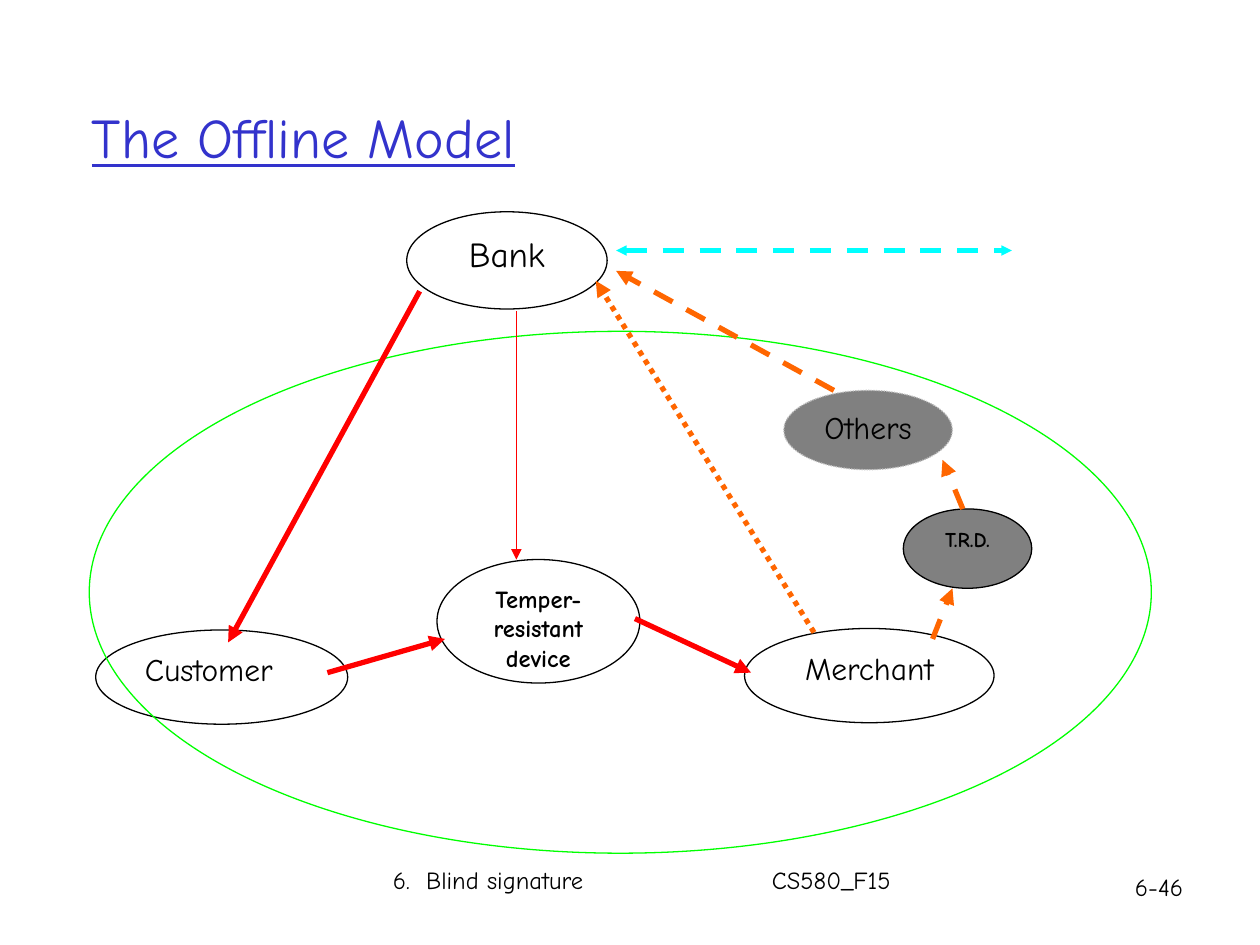
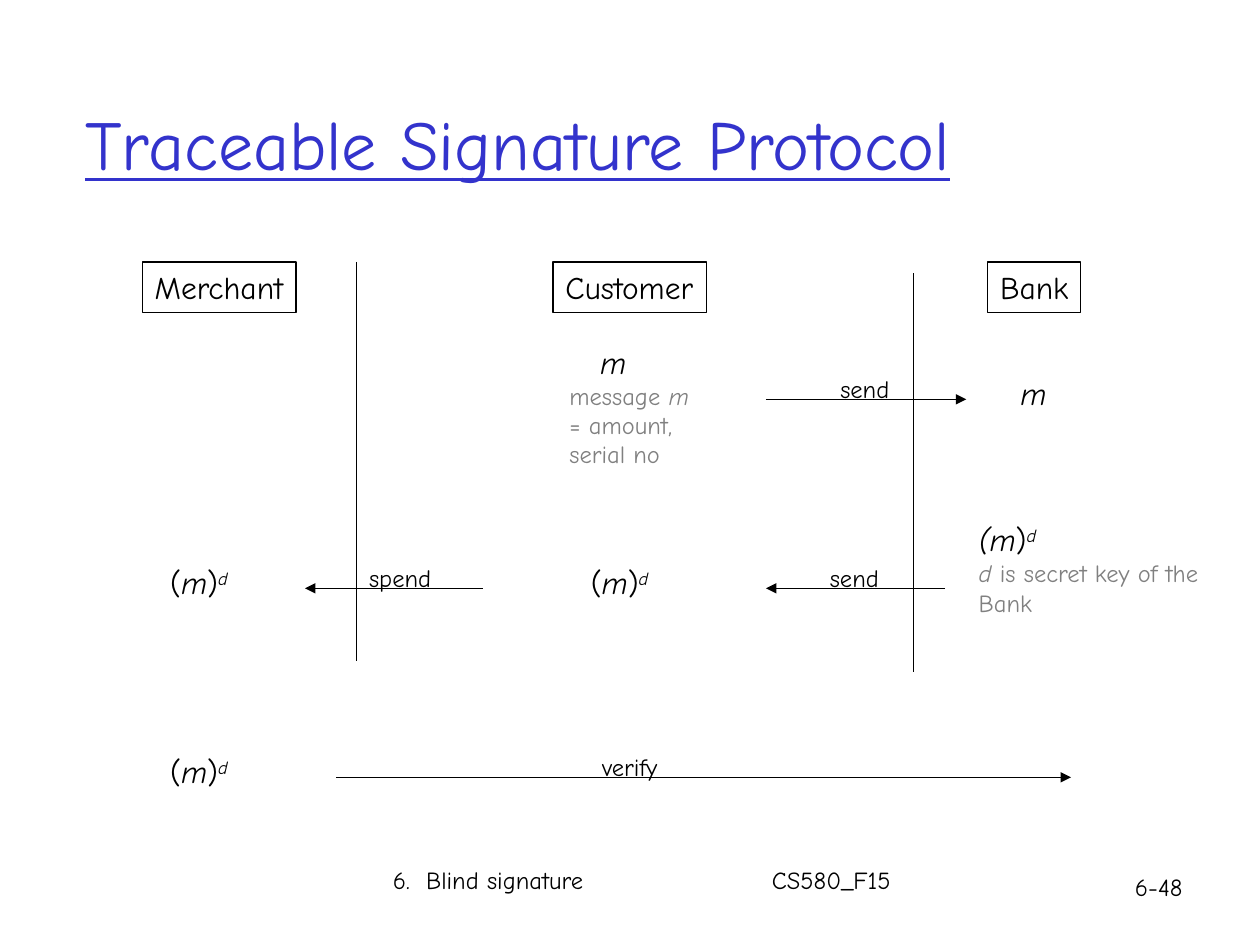
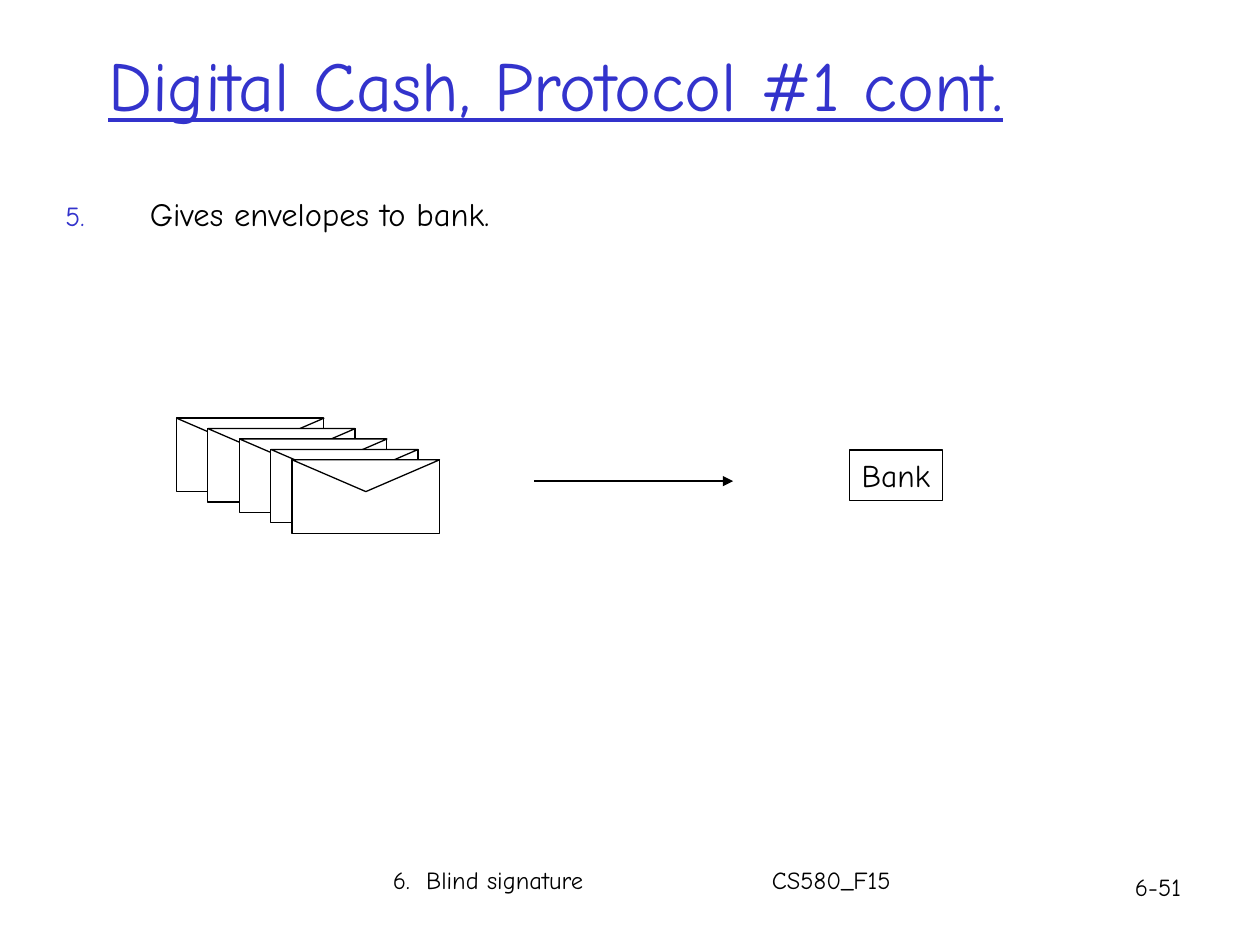
"""Build three slides on offline payment and blind signature protocols."""
import pptx
import pptx.dml.color
import pptx.enum.dml
import pptx.enum.shapes
import pptx.enum.text
import pptx.oxml
import pptx.oxml.ns
import pptx.util

Cm = pptx.util.Cm
Pt = pptx.util.Pt
SHAPES = pptx.enum.shapes.MSO_SHAPE
DASHES = pptx.enum.dml.MSO_LINE
ALIGN = pptx.enum.text.PP_ALIGN
ANCHOR = pptx.enum.text.MSO_ANCHOR

FONT = "Comic Neue"
COLORS = {
    "text": "000000",
    "title": "3333CC",
    "paper": "FFFFFF",
    "muted": "808080",
    "pale": "C0C0C0",
    "withdraw": "FF0000",
    "deposit": "FF6600",
    "exchange": "00FFFF",
    "offline": "00FF00",
}
ITALIC = {"italic": True}
NOTE = {"size": 14, "color": "muted"}
SUPERSCRIPT = {"italic": True, "baseline": 30000}
SIGNATURE = [[("(", {}), ("m", ITALIC), (")", {}), ("d", SUPERSCRIPT)]]


def rgb(name):
    """Return the named colour."""
    return pptx.dml.color.RGBColor.from_string(COLORS[name])


def add_xml(parent, tag, content="", **attributes):
    """Append a drawing element to a parent element."""
    listed = "".join(f' {key}="{value}"' for key, value in attributes.items())
    namespace = pptx.oxml.ns.nsdecls("a")
    parent.append(pptx.oxml.parse_xml(f"<a:{tag} {namespace}{listed}>{content}</a:{tag}>"))


def write_run(paragraph, text, size=18, color="text", baseline=None, **formats):
    """Add one formatted run to a paragraph."""
    run = paragraph.add_run()
    run.text = text
    for name, value in {"name": FONT, "size": Pt(size), **formats}.items():
        setattr(run.font, name, value)
    run.font.color.rgb = rgb(color)
    if baseline:
        run._r.get_or_add_rPr().set("baseline", str(baseline))


def write_text(frame, paragraphs, align=ALIGN.LEFT, anchor=ANCHOR.TOP, wrap=True, **formats):
    """Fill a text frame with paragraphs, each a string or a list of runs."""
    frame_formats = {
        "word_wrap": wrap,
        "vertical_anchor": anchor,
        "auto_size": pptx.enum.text.MSO_AUTO_SIZE.NONE,
        "margin_left": Cm(0.25),
        "margin_right": Cm(0.25),
        "margin_top": Cm(0.13),
        "margin_bottom": Cm(0.13),
    }
    for name, value in frame_formats.items():
        setattr(frame, name, value)
    for index, runs in enumerate(paragraphs):
        paragraph = frame.add_paragraph() if index else frame.paragraphs[0]
        paragraph.alignment = align
        paragraph.space_before = Pt(0)
        for text, overrides in [(runs, {})] if isinstance(runs, str) else runs:
            write_run(paragraph, text, **{**formats, **overrides})


def place(shape, left, top, width, height):
    """Move and size a shape, in centimetres."""
    for name, value in {"left": left, "top": top, "width": width, "height": height}.items():
        setattr(shape, name, Cm(value))


def add_text(slide, left, top, width, height, paragraphs, **formats):
    """Add a text box and return its text frame."""
    frame = slide.shapes.add_textbox(Cm(left), Cm(top), Cm(width), Cm(height)).text_frame
    write_text(frame, paragraphs, **formats)
    return frame


def add_outline(slide, kind, box, fill=None, line="text", dash=None):
    """Add a thinly outlined preset shape."""
    shape = slide.shapes.add_shape(kind, *map(Cm, box))
    shape.shadow.inherit = False
    if fill:
        shape.fill.solid()
        shape.fill.fore_color.rgb = rgb(fill)
    else:
        shape.fill.background()
    shape.line.color.rgb = rgb(line)
    shape.line.width = Pt(0.75)
    shape.line.dash_style = dash
    return shape


def add_node(slide, box, paragraphs, fill="paper", line="text", dash=None, **formats):
    """Add a labelled ellipse."""
    node = add_outline(slide, SHAPES.OVAL, box, fill, line, dash)
    write_text(node.text_frame, paragraphs, **formats)


def add_party(slide, left, top, width, name):
    """Add a boxed party name."""
    party = add_outline(slide, SHAPES.RECTANGLE, (left, top, width, 1.02))
    write_text(party.text_frame, [name], wrap=False)


def add_line(slide, start, end, color="text", width=0.75, dash=None, ends=("tailEnd",), head="med"):
    """Add a straight line with arrowheads at the listed ends."""
    connector = slide.shapes.add_connector(
        pptx.enum.shapes.MSO_CONNECTOR.STRAIGHT, *map(Cm, (*start, *end)))
    connector.line.color.rgb = rgb(color)
    connector.line.width = Pt(width)
    connector.line.dash_style = dash
    properties = connector._element.spPr
    outline = properties.find(pptx.oxml.ns.qn("a:ln"))
    for tag in ends:
        add_xml(outline, tag, type="triangle", w=head, len=head)
    add_xml(properties, "effectLst")


def add_envelope(slide, left, top):
    """Add a closed envelope."""
    add_outline(slide, SHAPES.RECTANGLE, (left, top, 2.97, 1.48), "paper")
    flap = add_outline(slide, SHAPES.ISOSCELES_TRIANGLE, (left, top, 2.97, 0.64), "paper")
    flap.rotation = 180


def add_numbered_item(slide, text, number):
    """Write a numbered item into the body placeholder."""
    body = slide.placeholders[1]
    place(body, 1.07, 3.78, 23.22, 1.8)
    paragraph = body.text_frame.paragraphs[0]
    properties = paragraph._p.get_or_add_pPr()
    properties.set("marL", str(Cm(1.7)))
    properties.set("indent", str(-Cm(1.7)))
    add_xml(properties, "buClr", f'<a:srgbClr val="{COLORS["title"]}"/>')
    add_xml(properties, "buSzPct", val=85000)
    add_xml(properties, "buFont", typeface=FONT)
    add_xml(properties, "buAutoNum", type="arabicPeriod", startAt=number)
    write_text(body.text_frame, [text], size=18.6)


def add_slide(presentation, layout, title, left, top, size, number):
    """Add a slide with its title, footer and page number."""
    slide = presentation.slides.add_slide(presentation.slide_layouts[layout])
    place(slide.shapes.title, left, top, 21.59, 3.15)
    write_text(slide.shapes.title.text_frame, [title], anchor=ANCHOR.MIDDLE,
               size=size, color="title", underline=True)
    add_text(slide, 22.63, 17.45, 2.44, 0.86, [number], size=14)
    footer = add_text(slide, 7.67, 17.3, 15.21, 1.27,
                      ["6.\tBlind signature\tCS580_F15"], size=14)
    stops = "".join(f'<a:tab pos="{Cm(stop)}" algn="l"/>' for stop in (0.67, 7.64))
    add_xml(footer.paragraphs[0]._p.get_or_add_pPr(), "tabLst", stops)
    return slide


def build_offline_model(presentation):
    """Build the diagram of the offline model."""
    slide = add_slide(presentation, 5, "The Offline Model", 1.6, 1.17, 32, "6-46")
    centred = {"align": ALIGN.CENTER}
    add_node(slide, (8.2, 4.27, 4.04, 1.96), ["Bank"], size=20, **centred)
    add_node(slide, (15.01, 12.67, 5.03, 1.9), ["Merchant"], **centred)
    add_node(slide, (1.93, 12.7, 5.08, 1.9), ["Customer"])
    add_node(slide, (8.81, 11.28, 4.09, 2.49), ["Temper-resistant", "device"],
             size=14, bold=True, **centred)
    add_outline(slide, SHAPES.OVAL, (1.8, 6.68, 21.41, 10.52), line="offline")
    add_node(slide, (15.8, 7.87, 3.4, 1.6), ["Others"], fill="muted", line="pale",
             dash=DASHES.ROUND_DOT, **centred)
    add_node(slide, (18.21, 10.26, 2.59, 1.6), ["T.R.D."], fill="muted",
             size=12, bold=True, **centred)

    withdrawals = [
        ((6.6, 13.56), (8.97, 12.88), 3),
        ((8.46, 5.87), (4.6, 12.95), 3),
        ((12.8, 12.47), (15.14, 13.56), 3),
        ((10.41, 6.27), (10.41, 11.28), 1),
    ]
    for start, end, width in withdrawals:
        add_line(slide, start, end, "withdraw", width)
    deposits = [
        ((16.41, 12.75), (12.01, 5.66), DASHES.ROUND_DOT),
        ((18.8, 12.88), (19.2, 11.86), DASHES.DASH),
        ((16.81, 7.87), (12.42, 5.46), DASHES.DASH),
        ((19.41, 10.26), (19, 9.27), DASHES.DASH),
    ]
    for start, end, dash in deposits:
        add_line(slide, start, end, "deposit", 3, dash)
    add_line(slide, (12.42, 5.05), (20.4, 5.05), "exchange", 3, DASHES.DASH,
             ends=("headEnd", "tailEnd"), head="sm")


def build_traceable_signature(presentation):
    """Build the message sequence of the traceable signature."""
    slide = add_slide(presentation, 5, "Traceable Signature Protocol", 1.47, 1.3, 40, "6-48")
    for left, width, name in [(2.87, 3.1, "Merchant"), (11.15, 3.1, "Customer"),
                              (19.91, 1.88, "Bank")]:
        add_party(slide, left, 5.28, width, name)
    for left, top in [(7.19, 5.28), (18.42, 5.51)]:
        add_line(slide, (left, top), (left, top + 8.04), ends=())

    message = add_text(slide, 11.23, 6.78, 3, 2.79, [
        [("m", ITALIC)],
        [("message ", NOTE), ("m", {**NOTE, **ITALIC}), (" = amount, serial no", NOTE)],
    ])
    message.paragraphs[0]._p.get_or_add_pPr().set("marL", str(Cm(0.62)))
    add_text(slide, 20.32, 7.42, 2.5, 1.02, [[("m", ITALIC)]])
    add_text(slide, 19.48, 10.36, 5.08, 2.21, [
        [("(m", ITALIC), (")", {}), ("d", SUPERSCRIPT)],
        [("d", {**NOTE, **ITALIC}), (" is secret key of the Bank", NOTE)],
    ])
    for left, top in [(3.18, 11.23), (11.66, 11.23), (3.18, 15.04)]:
        add_text(slide, left, top, 2.5, 1.02, SIGNATURE)

    steps = [
        ("send", 16.69, 7.42, 15.44, 19.48),
        ("send", 16.48, 11.23, 19.05, 15.44),
        ("spend", 7.19, 11.23, 9.73, 6.15),
        ("verify", 11.89, 15.04, 6.78, 21.59),
    ]
    for label, left, top, start, end in steps:
        add_line(slide, (start, top + 0.63), (end, top + 0.63))
        add_text(slide, left, top, 1.9, 0.86, [label], size=14)


def build_digital_cash(presentation):
    """Build the step that hands envelopes to the bank."""
    slide = add_slide(presentation, 1, "Digital Cash, Protocol #1 cont.", 1.93, 0.1, 40, "6-51")
    add_numbered_item(slide, "Gives envelopes to bank.", 5)
    for index, left in enumerate((3.56, 4.19, 4.83, 5.46, 5.89)):
        add_envelope(slide, left, 8.43 + 0.21 * index)
    add_line(slide, (10.77, 9.7), (14.78, 9.7))
    add_party(slide, 17.12, 9.07, 1.88, "Bank")


def main():
    """Build and save the presentation."""
    presentation = pptx.Presentation()
    presentation.slide_width = Cm(25.4)
    presentation.slide_height = Cm(19.05)
    build_offline_model(presentation)
    build_traceable_signature(presentation)
    build_digital_cash(presentation)
    presentation.save("out.pptx")


if __name__ == "__main__":
    main()
